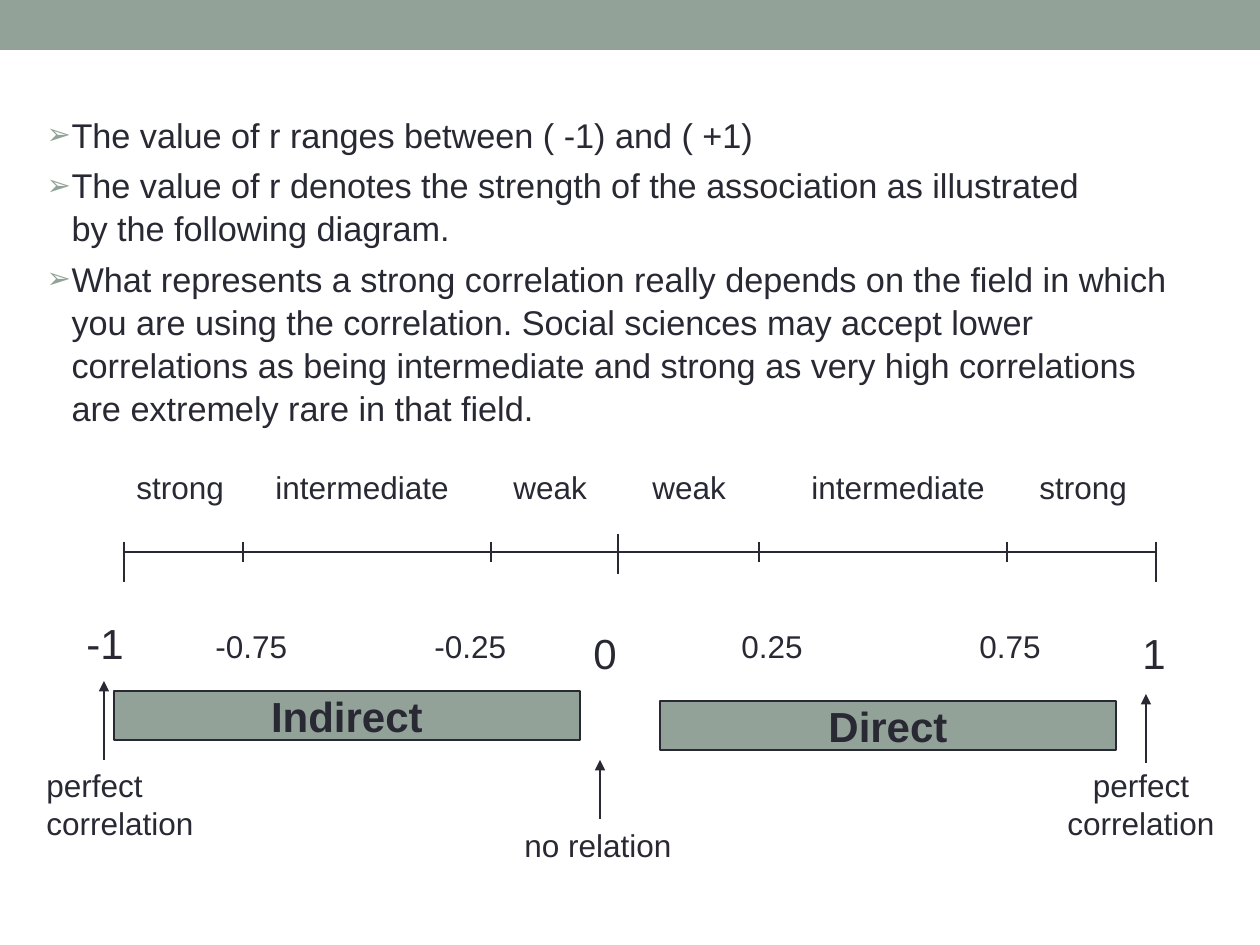
from lxml import etree
from pptx import Presentation
from pptx.dml.color import RGBColor
from pptx.enum.shapes import MSO_CONNECTOR, MSO_SHAPE
from pptx.enum.text import MSO_ANCHOR, MSO_AUTO_SIZE, PP_ALIGN
from pptx.oxml.ns import qn
from pptx.util import Pt

PX = 914400 / 126
SAGE = RGBColor(0x93, 0xA2, 0x99)
INK = RGBColor(0x29, 0x29, 0x34)
FONT = "Arial"
RECT = MSO_SHAPE.RECTANGLE
STRAIGHT = MSO_CONNECTOR.STRAIGHT
LEFT, CENTER = PP_ALIGN.LEFT, PP_ALIGN.CENTER


def emu(*lengths):
    return [round(v * PX) for v in lengths]


def write(tf, text, size, align=LEFT, bold=False):
    tf.text = text
    for p in tf.paragraphs:
        p.alignment = align
        for r in p.runs:
            r.font.name, r.font.size, r.font.bold = FONT, Pt(size), bold
            r.font.color.rgb = INK


prs = Presentation()
prs.slide_width, prs.slide_height = emu(1260, 945)
s = prs.slides.add_slide(prs.slide_layouts[1])
s.shapes.title.element.getparent().remove(s.shapes.title.element)

# Header band
band = s.shapes.add_shape(RECT, *emu(0, 0, 1260, 50))
band.shadow.inherit = False
band.fill.solid()
band.fill.fore_color.rgb = SAGE
band.line.fill.background()

# Bulleted text
body = s.placeholders[1]
body.left, body.top, body.width, body.height = emu(34, 106, 1163, 307)
tf = body.text_frame
tf.auto_size = MSO_AUTO_SIZE.NONE
write(tf, "\n".join([
    "The value of r ranges between ( -1) and ( +1)",
    "The value of r denotes the strength of the association as illustrated\v"
    "by the following diagram.",
    "What represents a strong correlation really depends on the field in which "
    "you are using the correlation. Social sciences may accept lower "
    "correlations as being intermediate and strong as very high correlations "
    "are extremely rare in that field.",
]), 19.6)
indent, = emu(25)
for p in tf.paragraphs:
    p.space_before = Pt(4)
    p.line_spacing = 1.05
    pPr = p._p.get_or_add_pPr()
    pPr.set("marL", str(indent))
    pPr.set("indent", str(-indent))
    color = etree.SubElement(pPr, qn("a:buClr"))
    etree.SubElement(color, qn("a:srgbClr"), val=str(SAGE))
    etree.SubElement(pPr, qn("a:buSzPct"), val="85000")
    etree.SubElement(pPr, qn("a:buFont"), typeface=FONT)
    etree.SubElement(pPr, qn("a:buChar"), char="➢")

# Scale axis, its ticks and the arrows: x1, y1, x2, y2, arrowhead
lines = [(124, 552, 1156, 552, False), (618, 534, 618, 574, False)]
lines += [(x, 542, x, 582, False) for x in (124, 1156)]
lines += [(x, 542, x, 562, False) for x in (243, 491, 759, 1007)]
lines += [(600, 819, 600, 760, True), (104, 760, 104, 681, True),
          (1146, 763, 1146, 694, True)]
for *ends, arrow in lines:
    line = s.shapes.add_connector(STRAIGHT, *emu(*ends))
    line.line.color.rgb = INK
    line.line.width = Pt(0.75)
    if arrow:
        etree.SubElement(line.line._get_or_add_ln(), qn("a:tailEnd"), type="triangle")
    etree.SubElement(line._element.spPr, qn("a:effectLst"))

# Labels: text, x, y, width, height, size, alignment, wrap
labels = [
    ("-1", 74, 611, 63, 63, 24, LEFT, False),
    ("0", 581, 621, 49, 63, 24, LEFT, True),
    ("1", 1130, 621, 49, 63, 24, LEFT, False),
    ("no relation", 512, 820, 189, 50, 18, LEFT, True),
    ("perfect correlation", 34, 760, 238, 88, 18, LEFT, True),
    ("perfect correlation", 1022, 760, 238, 88, 18, CENTER, True),
]
labels += [(text, x, 621, 110, 50, 18, LEFT, True) for text, x in
           (("-0.75", 203), ("-0.25", 422), ("0.25", 729), ("0.75", 967))]
labels += [(text, x, 462, w, 50, 18, LEFT, True) for text, x, w in
           (("strong", 124, 118), ("intermediate", 263, 218), ("weak", 501, 110),
            ("weak", 640, 110), ("intermediate", 799, 218), ("strong", 1027, 118))]
for text, x, y, w, h, size, align, wrap in labels:
    tf = s.shapes.add_textbox(*emu(x, y, w, h)).text_frame
    tf.word_wrap = wrap
    write(tf, text, size, align)

# Direction bars
for text, x, y, w in (("Direct", 660, 701, 456), ("Indirect", 114, 691, 466)):
    bar = s.shapes.add_shape(RECT, *emu(x, y, w, 49))
    bar.shadow.inherit = False
    bar.fill.solid()
    bar.fill.fore_color.rgb = SAGE
    bar.line.color.rgb = INK
    bar.line.width = Pt(0.75)
    tf = bar.text_frame
    tf.word_wrap = False
    tf.vertical_anchor = MSO_ANCHOR.MIDDLE
    write(tf, text, 24, CENTER, True)

prs.save("out.pptx")
